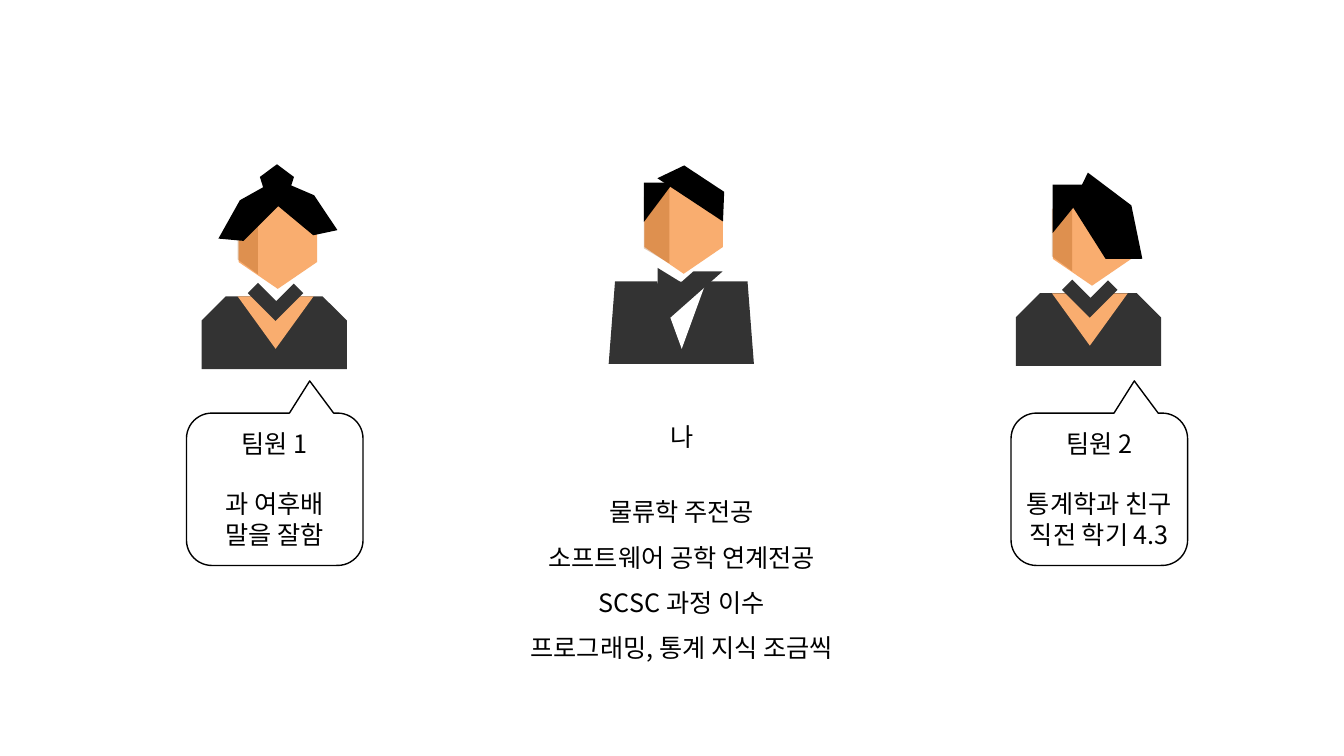
import pptx
import pptx.util
import pptx.dml.color
import pptx.enum.shapes
import pptx.enum.text
import pptx.oxml.ns
from lxml import etree

Cm, Pt = pptx.util.Cm, pptx.util.Pt
KIND = pptx.enum.shapes.MSO_SHAPE

FONT = "Noto Sans CJK KR"
COLOURS = {"ink": "000000", "suit": "333333", "skin": "F9AD6F",
           "shade": "A14D07", "paper": "FFFFFF"}
SHADE_ALPHA = 30

# Parts of a figure, in cm from the top left of its clothes:
# (preset, left, top, width, height, rotation, colour, first adjustment)
SUITED = [
    (KIND.TRAPEZOID, 0, 0, 3.66, 2.08, 0, "suit", 0.077),
    (KIND.ISOSCELES_TRIANGLE, 1.22, 0, 1.24, 1.70, 180, "paper", None),
    (KIND.ISOSCELES_TRIANGLE, 1.14, -0.25, 0.97, 0.79, 90, "suit", None),
    (KIND.DIAGONAL_STRIPE, 1.40, -0.25, 1.47, 1.30, 0, "suit", None),
    (KIND.HEXAGON, 0.58, -2.49, 2.62, 1.98, 90, "skin", 0.341),
    (KIND.TRAPEZOID, 0.18, -1.80, 2.06, 0.64, 270, "shade", 0.597),
    (KIND.TRAPEZOID, 1.24, -2.64, 1.98, 0.64, 33.4, "ink", 0.604),
    (KIND.RIGHT_TRIANGLE, 0.76, -2.36, 0.99, 0.74, 90, "ink", None),
]
COLLARED = [
    (KIND.SNIP_2_SAME_RECTANGLE, 0, 0, 3.66, 1.83, 0, "suit", 0.332),
    (KIND.ISOSCELES_TRIANGLE, 0.91, 0, 1.91, 1.32, 180, "skin", None),
    (KIND.HEXAGON, 0.61, -2.49, 2.62, 1.98, 90, "skin", 0.341),
    (KIND.TRAPEZOID, 0.20, -1.78, 1.93, 0.51, 270, "shade", 0.731),
    (KIND.ISOSCELES_TRIANGLE, 1.55, -0.08, 0.64, 0.43, 180, "paper", None),
    (KIND.CORNER, 1.37, -0.58, 0.99, 0.99, 315, "suit", 0.344),
]
SIDE_HAIR = [
    (KIND.REGULAR_PENTAGON, 1.09, -2.51, 2.57, 1.27, 57.7, "ink", None),
    (KIND.RIGHT_TRIANGLE, 0.81, -2.62, 1.22, 0.99, 90, "ink", None),
]
BUN_HAIR = [
    (KIND.REGULAR_PENTAGON, 0.18, -2.54, 2.13, 0.79, 315, "ink", None),
    (KIND.REGULAR_PENTAGON, 1.57, -2.64, 2.03, 0.79, 39.7, "ink", None),
    (KIND.REGULAR_PENTAGON, 1.47, -3.33, 0.86, 0.84, 0, "ink", None),
]
FIGURES = [
    (15.34, 7.09, SUITED),
    (25.60, 7.39, COLLARED + SIDE_HAIR),
    (5.08, 7.47, COLLARED + BUN_HAIR),
]

TEAMMATES = [
    (4.70, "팀원 1", ["과 여후배", "말을 잘함"]),
    (25.48, "팀원 2", ["통계학과 친구", "직전 학기 4.3"]),
]
CALLOUT_TOP, CALLOUT_WIDTH, CALLOUT_HEIGHT = 10.41, 4.45, 3.84
CALLOUT_ADJUSTMENTS = (0.198, -0.711, 0.167)
TEXT_TOP, TEXT_HEIGHT = 10.67, 3.33

ME = ("나", ["물류학 주전공", "소프트웨어 공학 연계전공", "SCSC 과정 이수",
            "프로그래밍, 통계 지식 조금씩"])
ME_BOX = (12.90, 10.49, 8.56, 6.40)


def rgb(name):
    return pptx.dml.color.RGBColor.from_string(COLOURS[name])


def add_figure(slide, left, top, parts):
    figure = slide.shapes.add_group_shape()
    for kind, dx, dy, width, height, rotation, colour, adjustment in parts:
        part = figure.shapes.add_shape(
            kind, Cm(left + dx), Cm(top + dy), Cm(width), Cm(height))
        part.shadow.inherit = False
        part.rotation = rotation
        part.line.fill.background()
        part.fill.solid()
        part.fill.fore_color.rgb = rgb(colour)
        if adjustment is not None:
            part.adjustments[0] = adjustment
        if kind == KIND.CORNER:
            part.adjustments[1] = 0.369
        if colour == "shade":
            tint = part._element.spPr.find(".//" + pptx.oxml.ns.qn("a:srgbClr"))
            alpha = etree.SubElement(tint, pptx.oxml.ns.qn("a:alpha"))
            alpha.set("val", str(SHADE_ALPHA * 1000))


def add_callout(slide, left):
    callout = slide.shapes.add_shape(
        KIND.ROUNDED_RECTANGULAR_CALLOUT, Cm(left), Cm(CALLOUT_TOP),
        Cm(CALLOUT_WIDTH), Cm(CALLOUT_HEIGHT))
    callout.shadow.inherit = False
    callout.fill.background()
    callout.line.color.rgb = rgb("ink")
    callout.line.width = Pt(1)
    for index, value in enumerate(CALLOUT_ADJUSTMENTS):
        callout.adjustments[index] = value


def add_text(slide, box, heading, lines, size=18, heading_gap=21.5,
             line_spacing=1.0, colour="ink"):
    """Write a centred heading and, one gap below it, centred lines."""
    frame = slide.shapes.add_textbox(*map(Cm, box)).text_frame
    frame.word_wrap = True
    frame.auto_size = pptx.enum.text.MSO_AUTO_SIZE.SHAPE_TO_FIT_TEXT
    for index, line in enumerate([heading] + lines):
        paragraph = frame.add_paragraph() if index else frame.paragraphs[0]
        paragraph.alignment = pptx.enum.text.PP_ALIGN.CENTER
        if index:
            paragraph.line_spacing = line_spacing
        if index == 1:
            paragraph.space_before = Pt(heading_gap)
        run = paragraph.add_run()
        run.text = line
        run.font.size = Pt(size)
        run.font.name = FONT
        run.font.color.rgb = rgb(colour)
        east_asian = etree.SubElement(run.font._element, pptx.oxml.ns.qn("a:ea"))
        east_asian.set("typeface", FONT)


def main():
    deck = pptx.Presentation()
    deck.slide_width, deck.slide_height = Cm(33.87), Cm(19.05)
    slide = deck.slides.add_slide(deck.slide_layouts[6])
    for left, top, parts in FIGURES:
        add_figure(slide, left, top, parts)
    for left, heading, lines in TEAMMATES:
        add_callout(slide, left)
        add_text(slide, (left, TEXT_TOP, CALLOUT_WIDTH, TEXT_HEIGHT),
                 heading, lines)
    add_text(slide, ME_BOX, *ME, line_spacing=1.5)
    deck.save("out.pptx")


if __name__ == "__main__":
    main()
